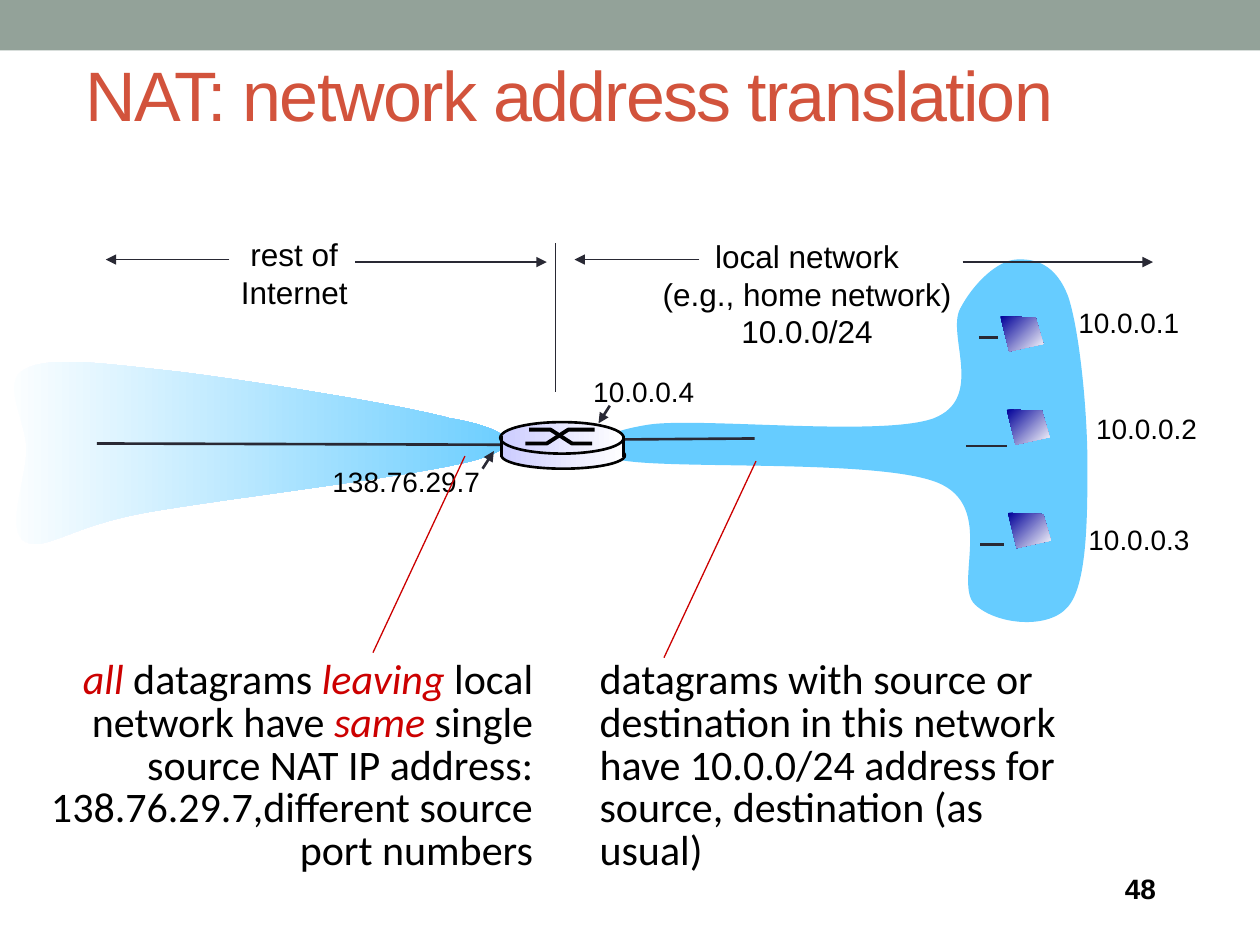
from pptx import Presentation
from pptx import oxml
from pptx import util as u
from pptx.dml.color import RGBColor
from pptx.enum import shapes, text
from pptx.oxml import ns

BLACK = RGBColor(0x00, 0x00, 0x00)
WHITE = RGBColor(0xFF, 0xFF, 0xFF)
INK = RGBColor(0x29, 0x29, 0x34)
RED = RGBColor(0xCC, 0x00, 0x00)
SKY = RGBColor(0x66, 0xCC, 0xFF)
LAVENDER = RGBColor(0xCC, 0xCC, 0xFF)
NAVY = RGBColor(0x00, 0x00, 0x99)
BAND = RGBColor(0x93, 0xA2, 0x99)
TITLE = RGBColor(0xD2, 0x53, 0x3C)

LOCAL_CLOUD = [
    (5.15, 3.37), (5.56, 3.31), (7, 3.47), (7.41, 3.32), (7.82, 3.16), (7.51, 2.66), (7.62, 2.45),
    (7.73, 2.24), (7.92, 2.07), (8.06, 2.06), (8.21, 2.05), (8.38, 2.09), (8.48, 2.36),
    (8.57, 2.64), (8.63, 3.27), (8.63, 3.68), (8.63, 4.09), (8.63, 4.63), (8.48, 4.81),
    (8.33, 5), (7.91, 4.96), (7.74, 4.8), (7.56, 4.64), (7.91, 4.02), (7.44, 3.83),
    (6.97, 3.64), (5.31, 3.73), (4.92, 3.65), (4.54, 3.57), (4.76, 3.43), (5.15, 3.37)]
INTERNET_CLOUD = [
    (3.57, 3.32), (3.17, 3.21), (1.97, 3.02), (1.41, 2.95), (0.85, 2.89), (0.4, 2.82), (0.2, 2.93),
    (0, 3.03), (0.21, 3.34), (0.21, 3.57), (0.21, 3.8), (0.04, 4.21), (0.2, 4.3),
    (0.36, 4.38), (0.55, 4.18), (1.15, 4.07), (1.75, 3.96), (3.4, 3.77), (3.81, 3.64),
    (4.21, 3.52), (3.98, 3.39), (3.57, 3.32)]


class Diagram:
    """Holds the slide and its style, with one method per kind of element."""

    def __init__(self, slide):
        self.slide = slide
        self.font = "Arial"

    def paint(self, shape, fill=None, line=None, width=1.5, angle=0):
        shape.shadow.inherit = False
        if fill is None:
            shape.fill.background()
        elif isinstance(fill, RGBColor):
            shape.fill.solid()
            shape.fill.fore_color.rgb = fill
        else:
            shape.fill.gradient()
            shape.fill.gradient_angle = angle
            for stop, color in zip(shape.fill.gradient_stops, fill):
                stop.color.rgb = color
        if line is None:
            shape.line.fill.background()
        else:
            shape.line.color.rgb = line
            shape.line.width = u.Pt(width)
        return shape

    def shape(self, kind, box, **style):
        return self.paint(self.slide.shapes.add_shape(kind, *map(u.Inches, box)), **style)

    def outline(self, points, close=True, **style):
        emu = [(u.Inches(x), u.Inches(y)) for x, y in points]
        builder = self.slide.shapes.build_freeform(*emu[0])
        builder.add_line_segments(emu[1:], close=close)
        return self.paint(builder.convert_to_shape(), **style)

    def cloud(self, controls, **style):
        shape = self.outline(controls, close=False, **style)
        route = next(shape._element.iter(ns.qn("a:path")))
        segments = route.findall(ns.qn("a:lnTo"))
        for start in range(0, len(controls) - 1, 3):
            curve = oxml.parse_xml(f'<a:cubicBezTo {ns.nsdecls("a")}/>')
            for segment in segments[start:start + 3]:
                curve.append(segment[0])
                route.remove(segment)
            route.append(curve)
        route.append(oxml.parse_xml(f'<a:close {ns.nsdecls("a")}/>'))

    def line(self, start, end, color=INK, width=1.5, arrow=False):
        connector = self.slide.shapes.add_connector(
            shapes.MSO_CONNECTOR.STRAIGHT, *map(u.Inches, (*start, *end)))
        connector.line.color.rgb = color
        connector.line.width = u.Pt(width)
        properties = connector._element.spPr
        if arrow:
            tail = oxml.parse_xml(f'<a:tailEnd {ns.nsdecls("a")} type="triangle"/>')
            properties.find(ns.qn("a:ln")).append(tail)
        properties.append(oxml.parse_xml(f'<a:effectLst {ns.nsdecls("a")}/>'))
        return connector

    def run(self, paragraph, words, size, color=BLACK, font=None, italic=None, bold=None):
        run = paragraph.add_run()
        run.text = words
        run.font.name = font or self.font
        run.font.size = u.Pt(size)
        run.font.color.rgb = color
        run.font.italic = italic
        run.font.bold = bold
        return run

    def text(self, box, paragraphs, size=16, align=text.PP_ALIGN.LEFT, wrap=False,
             spacing=None, font=None, bold=None, anchor=text.MSO_ANCHOR.TOP):
        frame = self.slide.shapes.add_textbox(*map(u.Inches, box)).text_frame
        frame.word_wrap = wrap
        frame.vertical_anchor = anchor
        for index, runs in enumerate(paragraphs):
            paragraph = frame.add_paragraph() if index else frame.paragraphs[0]
            paragraph.alignment = align
            paragraph.line_spacing = spacing
            for words, emphasis in runs:
                self.run(paragraph, words, size, RED if emphasis else BLACK, font, emphasis, bold)

    def title(self, words, box):
        title = self.slide.shapes.title
        title.left, title.top, title.width, title.height = map(u.Inches, box)
        frame = title.text_frame
        frame.auto_size = text.MSO_AUTO_SIZE.NONE
        frame.vertical_anchor = text.MSO_ANCHOR.MIDDLE
        frame.paragraphs[0].alignment = text.PP_ALIGN.LEFT
        run = self.run(frame.paragraphs[0], words, 40, TITLE)
        run.font._element.set("spc", "-100")

    def router(self):
        oval, rectangle = shapes.MSO_SHAPE.OVAL, shapes.MSO_SHAPE.RECTANGLE
        metal = (LAVENDER, WHITE)
        parts = [
            self.shape(oval, (3.98, 3.51, 0.98, 0.21), fill=metal, line=BLACK),
            self.shape(rectangle, (3.98, 3.49, 0.98, 0.13), fill=metal),
            self.shape(oval, (3.97, 3.35, 0.98, 0.25), fill=metal, line=BLACK)]
        for xs, first, last in (((4.17, 4.34, 4.51, 4.72), 3.52, 3.41),
                                ((4.2, 4.37, 4.54, 4.7), 3.41, 3.52)):
            points = list(zip(xs, (first, first, last, last)))
            parts.append(self.outline(points, close=False, line=BLACK, width=2.25))
        parts += [self.line((x, 3.46), (x, 3.63), BLACK) for x in (3.98, 4.95)]
        self.slide.shapes.add_group_shape(parts)

    def screen(self, x, y):
        corners = [(x, y), (x + 0.28, y + 0.01), (x + 0.34, y + 0.22), (x + 0.07, y + 0.28)]
        self.outline(corners, fill=(NAVY, WHITE), angle=315)


def plain(*lines):
    """Return one paragraph with a single plain run per line."""
    return [[(line, None)] for line in lines]


def main():
    """Build the NAT slide and save it."""
    presentation = Presentation()
    presentation.slide_width, presentation.slide_height = u.Inches(10), u.Inches(7.5)
    diagram = Diagram(presentation.slides.add_slide(presentation.slide_layouts[5]))

    diagram.shape(shapes.MSO_SHAPE.RECTANGLE, (0, 0, 10, 0.4), fill=BAND)
    diagram.cloud(LOCAL_CLOUD, fill=SKY)
    diagram.title("NAT: network address translation", (0.58, 0.25, 8.85, 0.99))
    diagram.cloud(INTERNET_CLOUD, fill=(WHITE, SKY))

    for start, end in (((4.67, 3.49), (5.99, 3.48)), ((7.99, 3.54), (7.67, 3.54)),
                       ((7.77, 2.68), (7.92, 2.68)), ((7.78, 4.32), (7.97, 4.32)),
                       ((0.77, 3.52), (4.08, 3.53))):
        diagram.line(start, end)

    for address, x, y, width in (("10.0.0.1", 8.46, 2.38, 1.01), ("10.0.0.2", 8.6, 3.22, 1.01),
                                 ("10.0.0.3", 8.54, 4.1, 1.01), ("10.0.0.4", 4.61, 2.92, 1.01),
                                 ("138.76.29.7", 2.54, 3.64, 1.38)):
        diagram.text((x, y, width, 0.37), plain(address))
    diagram.line((4.84, 3.22), (4.75, 3.36), arrow=True)
    diagram.line((3.83, 3.72), (3.92, 3.58), arrow=True)

    center = text.PP_ALIGN.CENTER
    diagram.text((5.16, 1.83, 2.49, 1), plain("local network", "(e.g., home network)", "10.0.0/24"),
                 18, center)
    diagram.text((1.81, 1.82, 1.05, 0.7), plain("rest of", "Internet"), 18, center)
    diagram.line((4.41, 1.93), (4.41, 3.11), width=0.75)
    for start, end, y in ((7.64, 9.15, 2.08), (5.55, 4.56, 2.06), (2.82, 4.34, 2.08), (1.82, 0.84, 2.06)):
        diagram.line((start, y), (end, y), width=0.75, arrow=True)

    diagram.text((4.66, 5.19, 4.05, 1.46),
                 plain("datagrams with source or", "destination in this network",
                       "have 10.0.0/24 address for", "source, destination (as usual)"),
                 24, wrap=True, spacing=0.85, font="Calibri")
    diagram.text((0.3, 5.19, 4.03, 1.8),
                 [[("all ", True), ("datagrams ", None), ("leaving ", True), ("local", None)],
                  [("network have ", None), ("same ", True),
                   ("single source NAT IP address: 138.76.29.7,different source port numbers", None)]],
                 24, text.PP_ALIGN.RIGHT, wrap=True, spacing=0.85, font="Calibri")
    diagram.line((5.27, 5.22), (6, 3.66), RED, 0.75)
    diagram.line((2.96, 5.18), (3.69, 3.62), RED, 0.75)

    diagram.router()
    for x, y in ((7.94, 2.51), (7.99, 3.25), (8, 4.07)):
        diagram.screen(x, y)
    diagram.text((8.83, 6.87, 0.79, 0.36), plain("48"), bold=True, wrap=True,
                 anchor=text.MSO_ANCHOR.MIDDLE)
    presentation.save("out.pptx")


if __name__ == "__main__":
    main()
